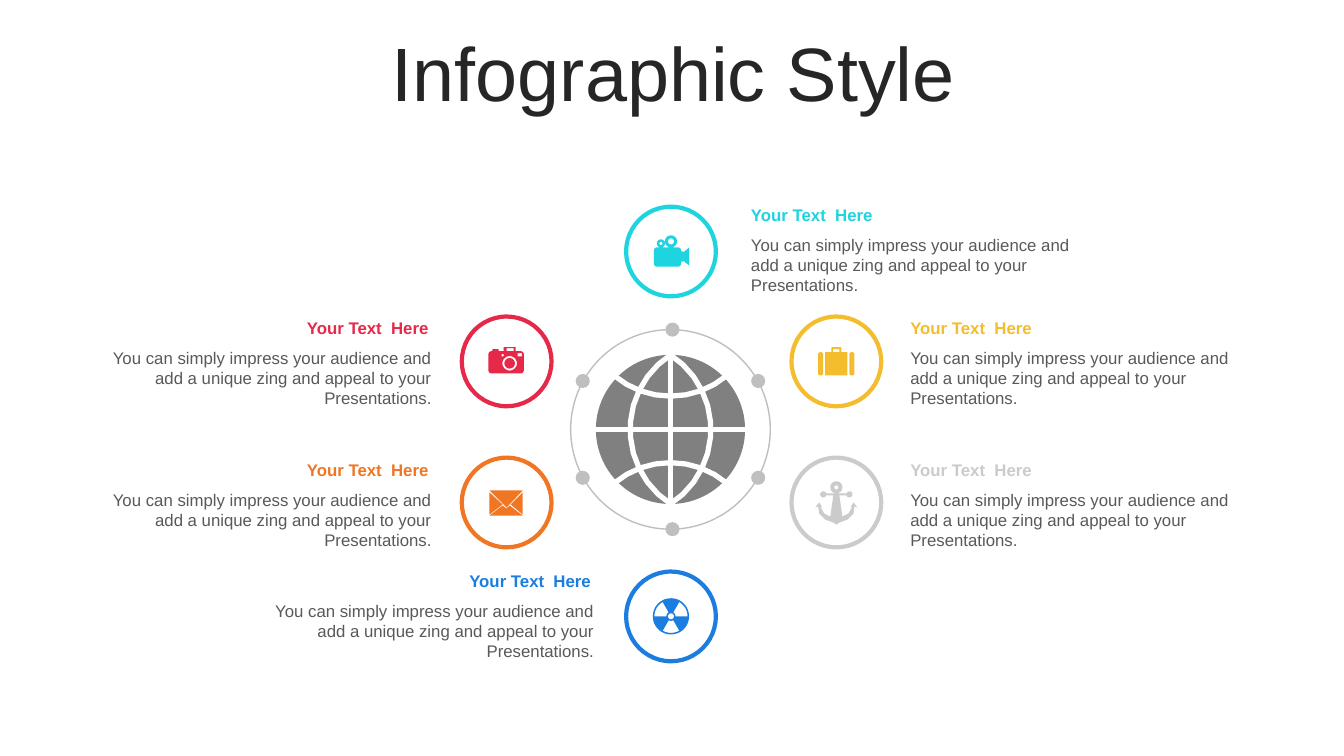
import math
import pptx
import pptx.dml.color
import pptx.enum.shapes
import pptx.enum.text
import pptx.util

RGB = pptx.dml.color.RGBColor
INK = RGB(0x26, 0x26, 0x26)
BODY = RGB(0x59, 0x59, 0x59)
WHITE = RGB(0xFF, 0xFF, 0xFF)
GLOBE = RGB(0x80, 0x80, 0x80)
ORBIT = RGB(0xBF, 0xBF, 0xBF)
CYAN = RGB(0x1E, 0xD4, 0xDE)
RED = RGB(0xE6, 0x29, 0x49)
YELLOW = RGB(0xF4, 0xBD, 0x2D)
ORANGE = RGB(0xF0, 0x76, 0x24)
SILVER = RGB(0xCB, 0xCB, 0xCB)
BLUE = RGB(0x1C, 0x7D, 0xE1)

Inches = pptx.util.Inches
LEFT = pptx.enum.text.PP_ALIGN.LEFT
RIGHT = pptx.enum.text.PP_ALIGN.RIGHT
CENTER = pptx.enum.text.PP_ALIGN.CENTER
RING = 0.89
HEADING = "Your Text  Here"
MESSAGE = ("You can simply impress your audience and add a unique zing "
           "and appeal to your Presentations.")


def arc(cx, cy, r, start=0, end=360):
    """Return points along a circular arc, angles clockwise from the right."""
    steps = max(4, round(abs(end - start) / 10))
    angles = [math.radians(start + (end - start) * i / steps) for i in range(steps + 1)]
    return [(cx + r * math.cos(a), cy + r * math.sin(a)) for a in angles]


def box(x, y, w, h, r=0):
    """Return the outline of a rectangle with corners of radius r."""
    corners = [(x + r, y + r, 180), (x + w - r, y + r, 270),
               (x + w - r, y + h - r, 0), (x + r, y + h - r, 90)]
    return [pt for cx, cy, a in corners
            for pt in (arc(cx, cy, r, a, a + 90) if r else [(cx, cy)])]


def sector(start, inner=4.5, outer=16.5):
    """Return a 60 degree slice of a ring around the origin."""
    return arc(0, 0, outer, start, start + 60) + arc(0, 0, inner, start + 60, start)


def mirrored(half):
    """Return a closed outline from its right half."""
    return half + [(-x, y) for x, y in reversed(half)]


ENVELOPE = [
    [(-17, -12), (16, -12), (0, 5)],
    [(-17, -10), (-4, 2), (-17, 12)],
    [(16, -10), (16, 12), (4, 2)],
    [(3, 3), (16, 13), (-17, 13), (-4, 3), (0, 6)],
]
RADIATION = [arc(0, 0, 18), arc(0, 0, 3)] + [sector(a) for a in (60, 180, 300)]
CAMERA = [
    box(-18, -10, 35, 22, 3), box(-14, -12, 6, 2), box(-3, -14, 12, 4),
    box(0, -13, 7, 3), box(11, -8, 4, 3), box(-5, -7, 2, 2),
    arc(3, 2, 7.2), arc(3, 2, 5.2),
]
MOVIE = [
    box(-17, -4, 27, 19, 3), box(10, 0, 2, 10),
    [(12, 1), (18, -4), (18, 14), (12, 9)],
    arc(0, -10, 6), arc(0, -10, 3), arc(-10, -8, 4), arc(-10, -8, 1.5),
]
SUITCASE = [
    box(-18, -9, 5, 23, 2), box(-11, -9, 22, 23), box(13, -9, 5, 23, 2),
    box(-5, -14, 10, 5, 1), box(-3, -12, 6, 3),
]
ANCHOR = [
    arc(0, -15, 6), arc(0, -15, 2), arc(13, -8, 3), arc(-13, -8, 3),
    mirrored([(2, -9), (10, -9), (10, -7), (3, -7), (6, 14), (12, 11), (16, 4),
              (14, 5), (17, 0), (21, 5), (18, 4), (17, 11), (11, 17), (3, 20), (0, 22)]),
]

ITEMS = [
    (6.21, 2.05, 7.35, 1.98, 3.58, LEFT, CYAN, MOVIE),
    (7.85, 3.14, 8.93, 3.1, 3.39, LEFT, YELLOW, SUITCASE),
    (7.85, 4.54, 8.93, 4.51, 3.39, LEFT, SILVER, ANCHOR),
    (6.21, 5.67, 2.52, 5.61, 3.47, RIGHT, BLUE, RADIATION),
    (4.58, 4.54, 1.02, 4.51, 3.36, RIGHT, ORANGE, ENVELOPE),
    (4.58, 3.14, 1.02, 3.1, 3.36, RIGHT, RED, CAMERA),
]


def paint(sp, fill=None, line=None, width=1):
    """Set the fill and outline of a shape and drop its shadow."""
    sp.shadow.inherit = False
    if fill is None:
        sp.fill.background()
    else:
        sp.fill.solid()
        sp.fill.fore_color.rgb = fill
    if line is None:
        sp.line.fill.background()
    else:
        sp.line.color.rgb = line
        sp.line.width = pptx.util.Pt(width)


def add_circle(slide, cx, cy, diameter, **style):
    """Add a painted circle around a centre."""
    sp = slide.shapes.add_shape(
        pptx.enum.shapes.MSO_SHAPE.OVAL, Inches(cx - diameter / 2),
        Inches(cy - diameter / 2), Inches(diameter), Inches(diameter))
    paint(sp, **style)


def add_outline(slide, cx, cy, contours, closed=True, **style):
    """Add a freeform whose contours are in hundredths of an inch from a centre."""
    scaled = [[(x * 10, y * 10) for x, y in contour] for contour in contours]
    builder = slide.shapes.build_freeform(*scaled[0][0], scale=914.4)
    for i, contour in enumerate(scaled):
        if i:
            builder.move_to(*contour[0])
        builder.add_line_segments(contour[1:], close=closed)
    paint(builder.convert_to_shape(Inches(cx), Inches(cy)), **style)


def add_text(slide, x, y, w, h, text, size, color, align, bold=False):
    """Add a wrapped one-paragraph text box."""
    tf = slide.shapes.add_textbox(Inches(x), Inches(y), Inches(w), Inches(h)).text_frame
    tf.word_wrap = True
    p = tf.paragraphs[0]
    p.text = text
    p.alignment = align
    font = p.runs[0].font
    font.name, font.size, font.bold = "Arial", pptx.util.Pt(size), bold
    font.color.rgb = color
    return tf


def add_title(slide, x, y, w, h):
    """Add the slide title."""
    tf = add_text(slide, x, y, w, h, "Infographic Style", 54, INK, CENTER)
    tf.vertical_anchor = pptx.enum.text.MSO_ANCHOR.MIDDLE
    tf.paragraphs[0].line_spacing = 0.9


def add_globe(slide, cx, cy):
    """Add the globe, its grid lines and the orbit with six dots."""
    add_circle(slide, cx, cy, 1.48, fill=GLOBE)
    meridian = arc(-48.4, 0, 88.4, -57, 57)
    parallel = arc(0, -120, 87, 50, 130)
    grid = [
        [(-76, 0), (76, 0)], [(0, -76), (0, 76)],
        meridian, [(-x, y) for x, y in meridian],
        parallel, [(x, -y) for x, y in parallel],
    ]
    add_outline(slide, cx, cy, grid, closed=False, line=WHITE, width=3.75)
    add_circle(slide, cx, cy, 1.98, line=ORBIT)
    for dx, dy in ((0.02, 0.99), (0.87, 0.48), (-0.87, 0.48)):
        for side in (-1, 1):
            add_circle(slide, cx + dx, cy + side * dy, 0.14, fill=ORBIT)


def add_item(slide, ring_x, ring_y, x, y, w, align, color, icon):
    """Add one ringed icon with its heading and message."""
    add_text(slide, x, y + 0.3, w, 0.71, MESSAGE, 12, BODY, align)
    add_text(slide, x, y, w - 0.03, 0.3, HEADING, 12, color, align, bold=True)
    cx, cy = ring_x + RING / 2, ring_y + RING / 2
    add_circle(slide, cx, cy, RING, fill=WHITE, line=color, width=3)
    add_outline(slide, cx, cy, icon, fill=color)


def main():
    """Build and save the slide."""
    prs = pptx.Presentation()
    prs.slide_width, prs.slide_height = Inches(13.33), Inches(7.5)
    slide = prs.slides.add_slide(prs.slide_layouts[6])
    add_title(slide, 0.35, 0.37, 12.66, 0.79)
    add_globe(slide, 6.65, 4.26)
    for item in ITEMS:
        add_item(slide, *item)
    prs.save("out.pptx")


if __name__ == "__main__":
    main()
